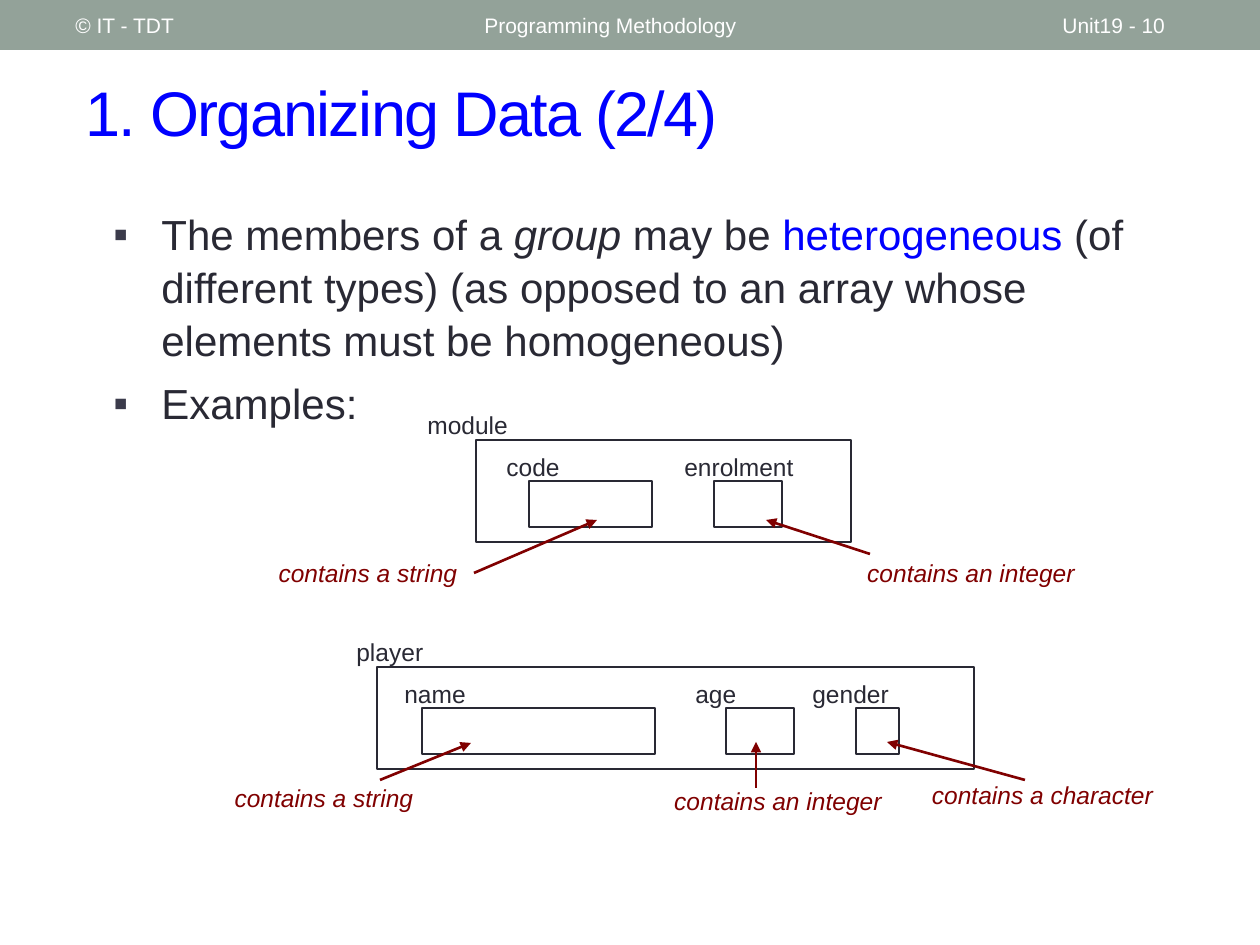
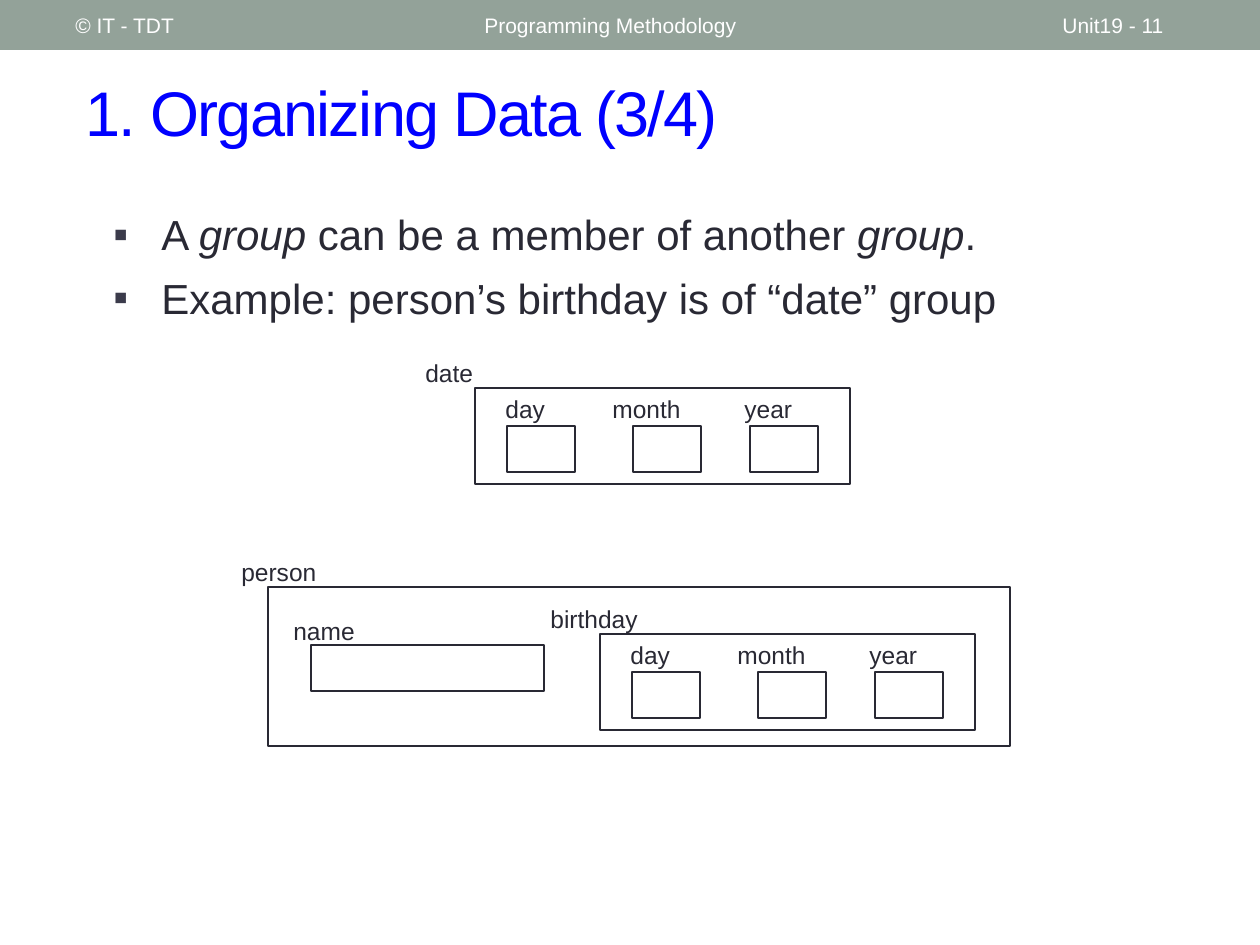
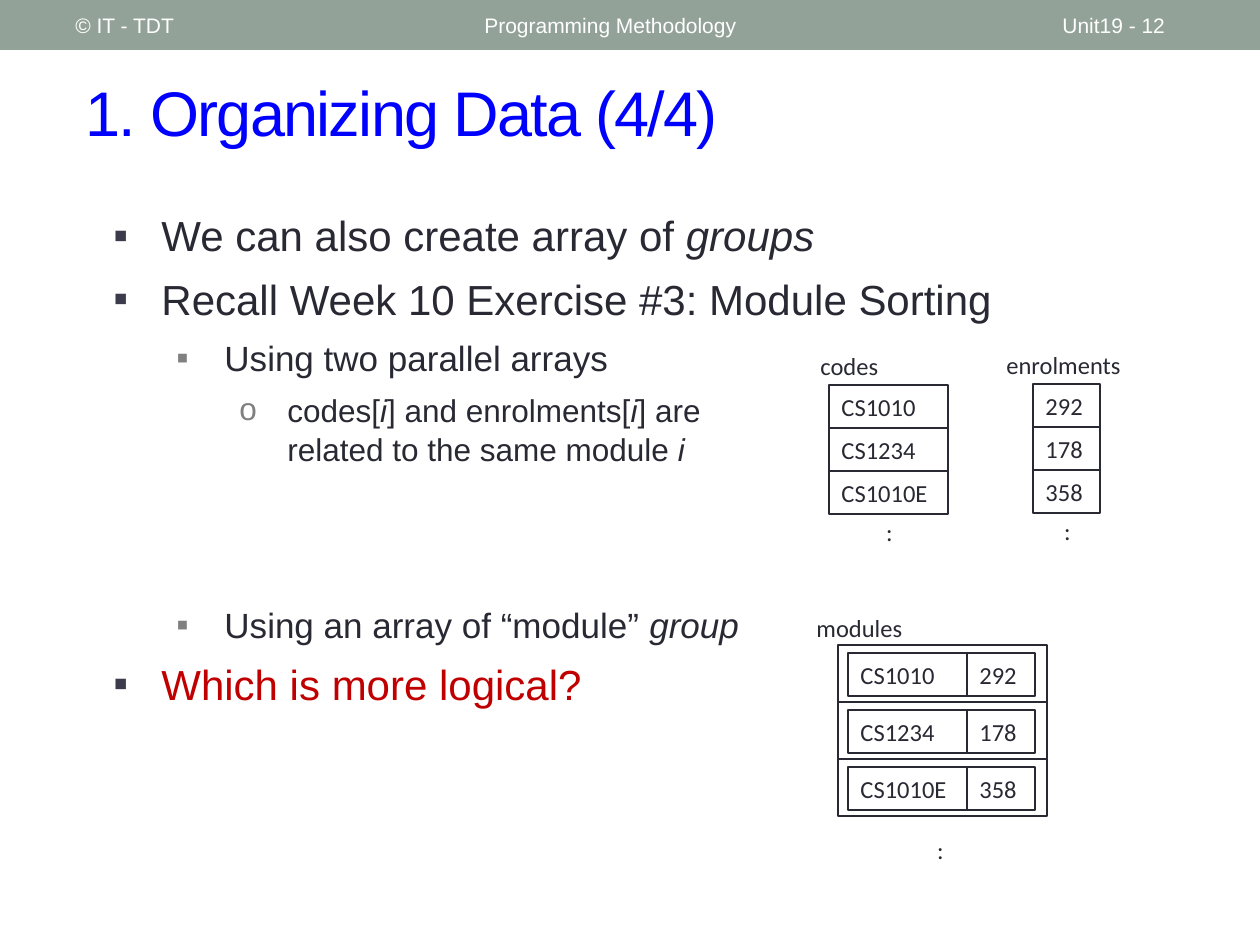
from lxml.etree import SubElement
from pptx import Presentation
from pptx.dml.color import RGBColor
from pptx.enum.shapes import MSO_CONNECTOR, MSO_SHAPE
from pptx.enum.text import MSO_ANCHOR as Anchor, MSO_AUTO_SIZE as AutoSize, PP_ALIGN as Align
from pptx.oxml.ns import qn
from pptx.util import Emu, Pt

SCALE = 914400 / 126
COLORS = {
    "band": "93A299",
    "white": "FFFFFF",
    "ink": "292934",
    "blue": "0000FF",
    "maroon": "800000",
    "red": "C00000",
    "bullet": "3B3B4B",
    "sub_bullet": "808080",
}
LEVELS = [("▪", "bullet", 24), ("▪", "sub_bullet", 20), ("o", "sub_bullet", 18)]
HANG = 48
LEVEL_STEP = 63
LABEL_HEIGHT = 43
FIELD_HEIGHT = 46
DATE_FIELDS = [("day", 18, 68, 32, 68), ("month", 125, 102, 158, 68), ("year", 257, 82, 275, 68)]
CODES = ["CS1010", "CS1234", "CS1010E"]
ENROLMENTS = ["292", "178", "358"]


def px(length):
    return Emu(round(length * SCALE))


def rgb(name):
    return RGBColor.from_string(COLORS[name])


def set_font(font, size, color="ink", name="Arial", italic=None):
    font.size = Pt(size)
    font.name = name
    font.italic = italic
    font.color.rgb = rgb(color)


def add_label(shapes, text, left, top, width, height=LABEL_HEIGHT, size=14, color="ink",
              font="Arial", italic=None, align=Align.LEFT, anchor=Anchor.TOP):
    box = shapes.add_textbox(px(left), px(top), px(width), px(height))
    frame = box.text_frame
    frame.word_wrap = True
    frame.vertical_anchor = anchor
    para = frame.paragraphs[0]
    para.text = text
    para.alignment = align
    set_font(para.font, size, color, font, italic)


def add_box(shapes, left, top, width, height, line=1):
    box = shapes.add_shape(MSO_SHAPE.RECTANGLE, px(left), px(top), px(width), px(height))
    box.shadow.inherit = False
    box.fill.background()
    box.line.color.rgb = rgb("ink")
    box.line.width = Pt(line)
    return box


def add_cell(shapes, text, left, top, width):
    box = add_box(shapes, left, top, width, LABEL_HEIGHT, 0.75)
    box.text_frame.word_wrap = True
    para = box.text_frame.paragraphs[0]
    para.text = text
    para.alignment = Align.LEFT
    set_font(para.font, 14, name="Calibri")


def add_arrow(shapes, start, end):
    arrow = shapes.add_connector(MSO_CONNECTOR.STRAIGHT, *map(px, start + end))
    arrow.line.color.rgb = rgb("maroon")
    arrow.line.width = Pt(1.5)
    SubElement(arrow.line._get_or_add_ln(), qn("a:tailEnd"), type="triangle")
    SubElement(arrow._element.spPr, qn("a:effectLst"))


def add_note(shapes, text, left, top, width, start, end):
    add_label(shapes, text, left, top, width, color="maroon", italic=True, align=Align.CENTER)
    add_arrow(shapes, start, end)


def add_record(shapes, name, name_shift, name_width, frame, fields, label_drop, field_drop):
    left, top, width, height = frame
    add_box(shapes, left, top, width, height)
    add_label(shapes, name, left + name_shift, top - 36, name_width)
    for text, label_shift, label_width, field_shift, field_width in fields:
        add_box(shapes, left + field_shift, top + field_drop, field_width, FIELD_HEIGHT)
        add_label(shapes, text, left + label_shift, top + label_drop, label_width)


def add_date(shapes, name, name_width, left, top):
    add_record(shapes, name, -62, name_width, (left, top, 375, 96), DATE_FIELDS, 0, 38)


def add_array(shapes, name, name_left, name_width, values, left, top, width):
    add_label(shapes, name, name_left, top - 40, name_width, font="Calibri")
    for row, value in enumerate(values):
        add_cell(shapes, value, left, top + row * LABEL_HEIGHT, width)
    add_label(shapes, ":", left + 1, top + 126, width, font="Calibri", align=Align.CENTER)


def set_bullet(para, level):
    mark, color, _ = LEVELS[level]
    para.level = level
    props = para._p.get_or_add_pPr()
    props.set("marL", str(px(HANG + level * LEVEL_STEP)))
    props.set("indent", str(-px(HANG)))
    SubElement(SubElement(props, qn("a:buClr")), qn("a:srgbClr"), val=COLORS[color])
    SubElement(props, qn("a:buFont"), typeface="Arial")
    SubElement(props, qn("a:buChar"), char=mark)


def add_body(page, top, height, items):
    box = page.shapes.add_textbox(px(101), px(top), px(1080), px(height))
    frame = box.text_frame
    frame.word_wrap = True
    for index, (level, gap, pieces) in enumerate(items):
        para = frame.add_paragraph() if index else frame.paragraphs[0]
        set_bullet(para, level)
        para.space_before = Pt(gap)
        para.line_spacing = 1.05
        set_font(para.font, LEVELS[level][2])
        for text, style in pieces:
            if text == "\n":
                para.add_line_break()
                continue
            span = para.add_run()
            span.text = text
            if style == "italic":
                span.font.italic = True
            elif style:
                span.font.color.rgb = rgb(style)


def add_page(deck, part, number):
    page = deck.slides.add_slide(deck.slide_layouts[5])
    band = page.shapes.add_shape(MSO_SHAPE.RECTANGLE, 0, 0, px(1260), px(50))
    band.shadow.inherit = False
    band.fill.solid()
    band.fill.fore_color.rgb = rgb("band")
    band.line.fill.background()
    for text, left, width in [("© IT - TDT", 63, 399), ("Programming Methodology", 472, 567),
                              (f"Unit19 - {number}", 1050, 147)]:
        add_label(page.shapes, text, left, 3, width, 45, 12, "white", anchor=Anchor.MIDDLE)
    title = page.shapes.title
    title.left, title.top, title.width, title.height = map(px, (73, 53, 1155, 116))
    frame = title.text_frame
    frame.auto_size = AutoSize.NONE
    frame.vertical_anchor = Anchor.MIDDLE
    para = frame.paragraphs[0]
    para.alignment = Align.LEFT
    set_font(para.font, 36, "blue")
    span = para.add_run()
    span.text = f"1. Organizing Data ({part}/4)"
    span._r.get_or_add_rPr().set("spc", "-100")
    return page


def build_members(deck):
    page = add_page(deck, 2, 10)
    add_body(page, 200, 252, [
        (0, 6, [("The members of a ", ""), ("group", "italic"), (" may be ", ""),
                ("heterogeneous ", "blue"),
                ("(of different types) (as opposed to an array whose elements must be homogeneous)", "")]),
        (0, 6, [("Examples:", "")]),
    ])
    module = page.shapes.add_group_shape().shapes
    add_record(module, "module", -61, 150, (476, 440, 375, 102),
               [("code", 18, 115, 53, 123), ("enrolment", 196, 149, 238, 68)], 6, 41)
    add_note(module, "contains a string", 262, 552, 212, (474, 573), (597, 520))
    add_note(module, "contains an integer", 848, 552, 246, (870, 554), (766, 520))
    player = page.shapes.add_group_shape().shapes
    add_record(player, "player", -33, 111, (377, 667, 597, 102),
               [("name", 15, 115, 45, 233), ("age", 306, 115, 349, 68),
                ("gender", 423, 115, 479, 43)], 6, 41)
    add_note(player, "contains a string", 218, 777, 212, (380, 780), (471, 743))
    add_note(player, "contains an integer", 655, 780, 246, (756, 788), (756, 742))
    add_note(player, "contains a character", 914, 774, 257, (1025, 780), (887, 742))


def build_nesting(deck):
    page = add_page(deck, 3, 11)
    add_body(page, 200, 126, [
        (0, 6, [("A ", ""), ("group ", "italic"), ("can be a member of another ", ""),
                ("group", "italic"), (".", "")]),
        (0, 6, [("Example: person’s birthday is of “date” group", "")]),
    ])
    add_date(page.shapes.add_group_shape().shapes, "date", 86, 475, 388)
    person = page.shapes.add_group_shape().shapes
    add_record(person, "person", -39, 139, (268, 587, 742, 159),
               [("name", 13, 115, 43, 233)], 23, 58)
    add_date(person, "birthday", 181, 600, 634)


def build_arrays(deck):
    page = add_page(deck, 4, 12)
    add_body(page, 201, 646, [
        (0, 6, [("We can also create array of ", ""), ("groups", "italic")]),
        (0, 6, [("Recall Week 10 Exercise #3: Module Sorting", "")]),
        (1, 6, [("Using two parallel arrays", "")]),
        (2, 6, [("codes[", ""), ("i", "italic"), ("] and enrolments[", ""), ("i", "italic"),
                ("] are", ""), ("\n", ""), ("related to the same module ", ""), ("i", "italic")]),
        (1, 76, [("Using an array of “module” ", ""), ("group", "italic")]),
        (0, 6, [("Which is more logical?", "red")]),
    ])
    parallel = page.shapes.add_group_shape().shapes
    add_array(parallel, "codes", 808, 100, CODES, 829, 385, 119)
    add_array(parallel, "enrolments", 994, 145, ENROLMENTS, 1033, 384, 67)
    modules = page.shapes.add_group_shape().shapes
    add_label(modules, "modules", 804, 607, 155, font="Calibri")
    for row, (code, enrolment) in enumerate(zip(CODES, ENROLMENTS)):
        top = 645 + row * 57
        add_box(modules, 838, top, 209, 57)
        add_cell(modules, code, 848, top + 8, 119)
        add_cell(modules, enrolment, 967, top + 8, 68)
    add_label(modules, ":", 848, 829, 185, font="Calibri", align=Align.CENTER)


def main():
    deck = Presentation()
    deck.slide_width, deck.slide_height = px(1260), px(945)
    build_members(deck)
    build_nesting(deck)
    build_arrays(deck)
    deck.save("out.pptx")


if __name__ == "__main__":
    main()
